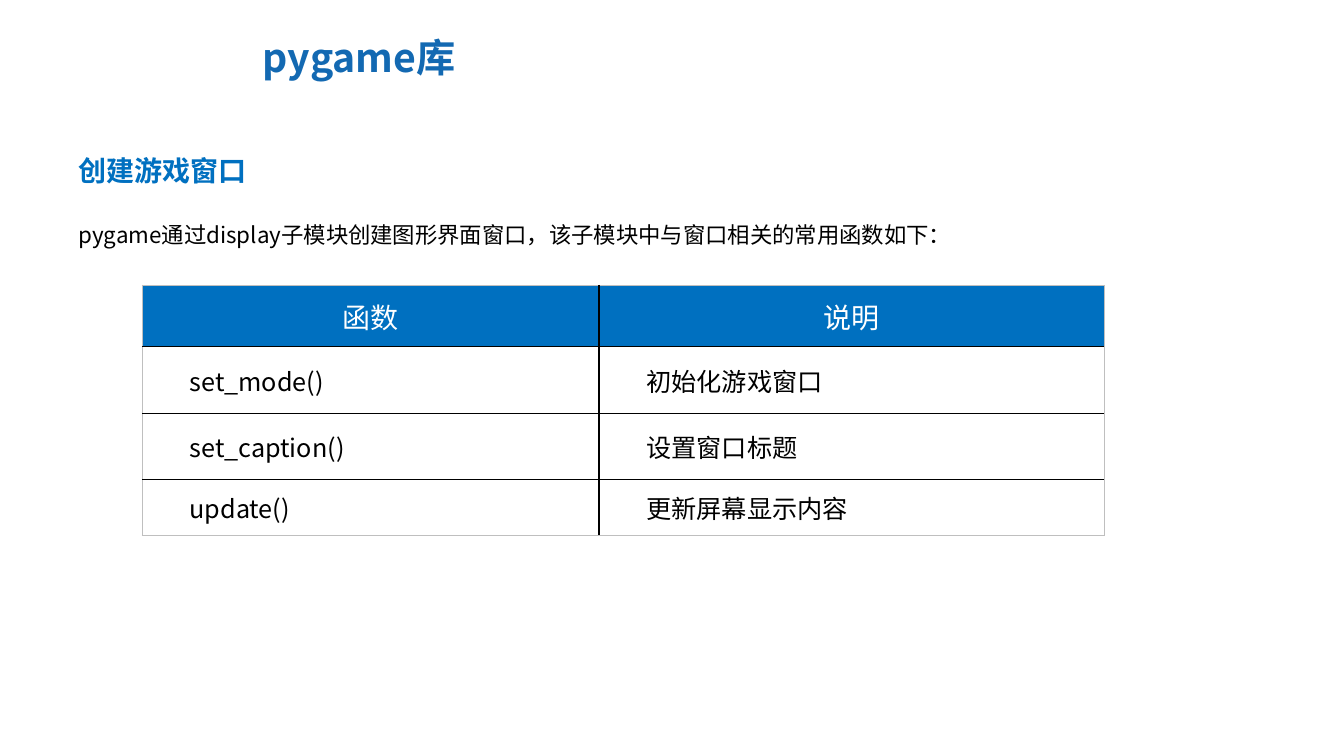
from lxml.etree import SubElement
from pptx import Presentation
from pptx.dml.color import RGBColor
from pptx.enum.text import MSO_ANCHOR, MSO_AUTO_SIZE, PP_ALIGN
from pptx.oxml.ns import qn
from pptx.util import Inches, Pt

FONT = "Noto Sans CJK SC"
BLUE, BLACK, WHITE, GRAY = "0070C0", "000000", "FFFFFF", "BFBFBF"
WIDTH, HEIGHT = 13.33, 7.5
MARGIN = 0.68

TEXTS = [
    (" pygame库", (2.42, 0.17, 6.88, 0.85),
     {"size": 28, "color": "1369B2", "bold": True},
     {"line_spacing": 0.9}, {"vertical_anchor": MSO_ANCHOR.MIDDLE}),
    ("创建游戏窗口", (MARGIN, 1.31, 2.86, 0.61),
     {"size": 20, "color": BLUE, "bold": True},
     {"line_spacing": 1.5}, {"auto_size": MSO_AUTO_SIZE.SHAPE_TO_FIT_TEXT}),
    ("pygame通过display子模块创建图形界面窗口，该子模块中与窗口相关的常用函数如下：",
     (MARGIN, 2.01, 12.08, 0.5),
     {"size": 16, "color": BLACK, "bold": False},
     {"line_spacing": 1.5}, {"auto_size": MSO_AUTO_SIZE.SHAPE_TO_FIT_TEXT}),
]

FUNCTIONS = [
    ("函数", "说明"),
    ("set_mode()", "初始化游戏窗口"),
    ("set_caption()", "设置窗口标题"),
    ("update()", "更新屏幕显示内容"),
]
TABLE_LEFT, TABLE_TOP = 1.41, 2.83
COLUMNS = [4.53, 5.01]
ROWS = [0.61, 0.66, 0.66, 0.55]
HEADER = {"size": 20, "color": WHITE, "bold": False}
BODY = {"size": 18, "color": BLACK, "bold": False}
CELL = {"vertical_anchor": MSO_ANCHOR.MIDDLE, "margin_left": Inches(0.15),
        "margin_right": Inches(0.15), "margin_top": 0, "margin_bottom": 0}
OUTER, GRID_ROW, GRID_COLUMN = (GRAY, 0.5), (BLACK, 1), (BLACK, 1.5)


def rgb(value):
    """Turn a hex string into a colour."""
    return RGBColor.from_string(value)


def assign(target, values):
    """Set each attribute of the target from a dict."""
    for name, value in values.items():
        setattr(target, name, value)


def write(para, text, size, color, bold):
    """Add one formatted span to a paragraph."""
    span = para.add_run()
    span.text = text
    assign(span.font, {"name": FONT, "size": Pt(size), "bold": bold})
    span.font.color.rgb = rgb(color)
    SubElement(span.font._element, qn("a:ea"), typeface=FONT)


def add_text(page, text, place, style, para_format, frame_format):
    """Place a text box on the page."""
    frame = page.shapes.add_textbox(*map(Inches, place)).text_frame
    assign(frame, {"word_wrap": True, **frame_format})
    para = frame.paragraphs[0]
    assign(para, para_format)
    write(para, text, **style)


def add_border(cell, side, color, width):
    """Draw one side of a table cell."""
    line = SubElement(cell._tc.get_or_add_tcPr(), qn(f"a:ln{side}"), w=str(Pt(width)))
    fill = SubElement(line, qn("a:solidFill"))
    SubElement(fill, qn("a:srgbClr"), val=color)


def fill_cell(cell, text, row, column):
    """Write and format one table cell."""
    assign(cell, CELL)
    borders = {
        "L": GRID_COLUMN if column else OUTER,
        "R": GRID_COLUMN if column < len(COLUMNS) - 1 else OUTER,
        "T": GRID_ROW if row else OUTER,
        "B": GRID_ROW if row < len(ROWS) - 1 else OUTER,
    }
    for side, border in borders.items():
        add_border(cell, side, *border)
    para = cell.text_frame.paragraphs[0]
    if row:
        cell.fill.background()
    else:
        cell.fill.solid()
        cell.fill.fore_color.rgb = rgb(BLUE)
    para.alignment = PP_ALIGN.JUSTIFY if row else PP_ALIGN.CENTER
    para._p.get_or_add_pPr().set("indent", str(Inches(0.32 if row else -0.03)))
    write(para, text, **(BODY if row else HEADER))


def add_functions(page):
    """Build the table of window functions."""
    place = TABLE_LEFT, TABLE_TOP, sum(COLUMNS), sum(ROWS)
    table = page.shapes.add_table(len(ROWS), len(COLUMNS), *map(Inches, place)).table
    assign(table, {"first_row": False, "horz_banding": False})
    for column, width in zip(table.columns, COLUMNS):
        column.width = Inches(width)
    for row, height in zip(table.rows, ROWS):
        row.height = Inches(height)
    for row, texts in enumerate(FUNCTIONS):
        for column, text in enumerate(texts):
            fill_cell(table.cell(row, column), text, row, column)


def main():
    """Build and save the slide."""
    deck = Presentation()
    assign(deck, {"slide_width": Inches(WIDTH), "slide_height": Inches(HEIGHT)})
    page = deck.slides.add_slide(deck.slide_layouts[6])
    for item in TEXTS:
        add_text(page, *item)
    add_functions(page)
    deck.save("out.pptx")


if __name__ == "__main__":
    main()
